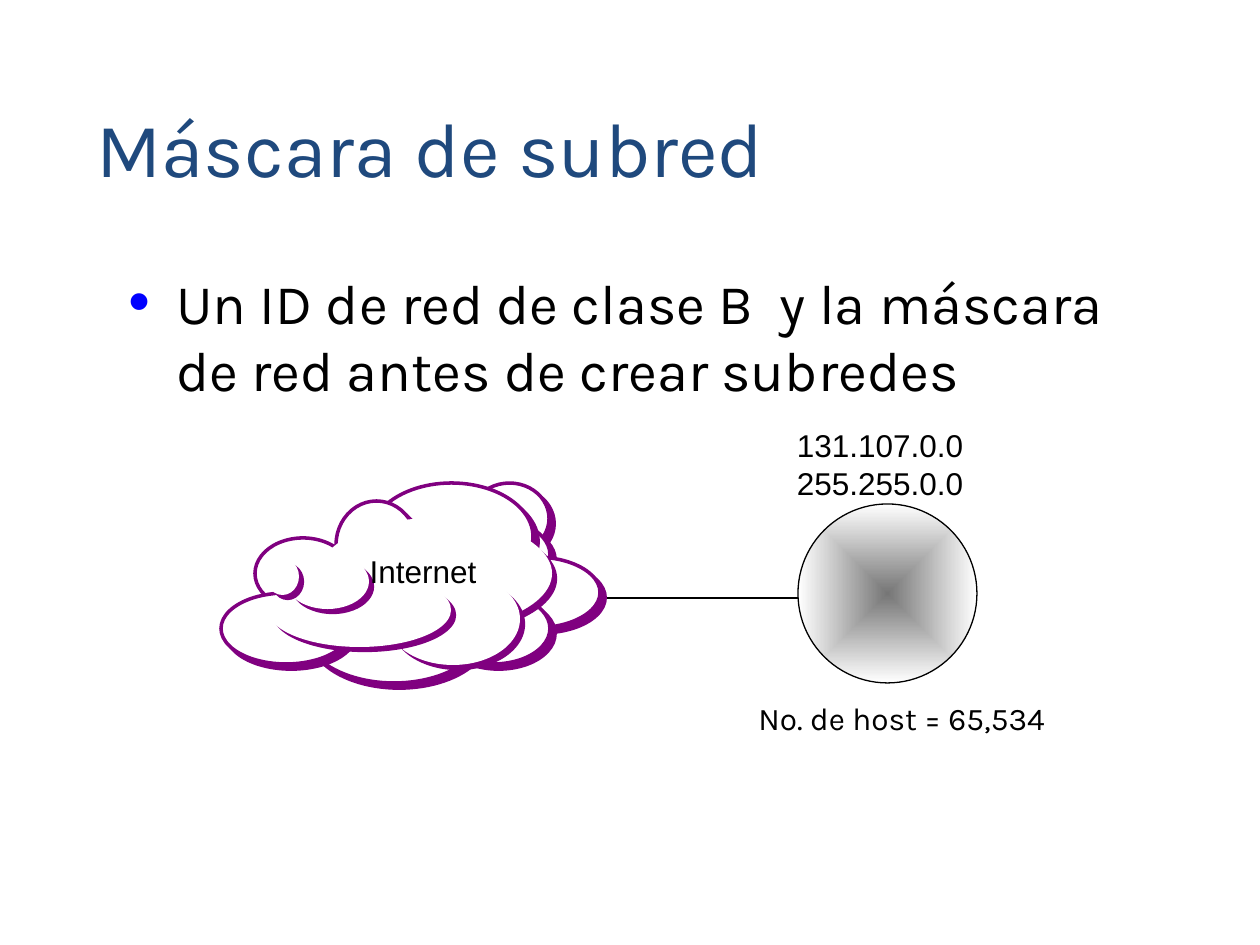
from lxml import etree
from pptx import Presentation, util as u
from pptx.dml.color import RGBColor
from pptx.enum import shapes, text
from pptx.oxml.ns import qn

PX = 914400 / 126
BLACK = RGBColor(0, 0, 0)
WHITE = RGBColor(0xFF, 0xFF, 0xFF)
NAVY = RGBColor(0x1F, 0x49, 0x7D)
BLUE = RGBColor(0, 0, 0xFF)
PURPLE = RGBColor(0x80, 0, 0x80)
GRAY = RGBColor(0x76, 0x76, 0x76)

TITLE = "Máscara de subred"
BODY = "Un ID de red de clase B  y la máscara de red antes de crear subredes"
NET = ["131.107.0.0", "255.255.0.0"]
CLOUD = "Internet"
HOSTS = "No. de host = 65,534"

# Cloud ellipses, back to front: left, top, width, height in px
PUFFS = [
    (470, 483, 79, 71), (437, 519, 113, 71), (470, 557, 130, 71),
    (421, 576, 97, 52), (370, 483, 163, 107), (336, 501, 81, 88),
    (387, 557, 81, 71), (437, 593, 113, 71), (304, 576, 180, 107),
    (255, 538, 96, 71), (221, 593, 130, 71),
]
FILLS = [
    (319, 518, 233, 111), (386, 573, 134, 92), (268, 573, 183, 74),
    (286, 554, 83, 55), (266, 558, 33, 37),
]


def px(*vals):
    return [u.Emu(round(v * PX)) for v in vals]


def put(slide, box, lines, size=18, font="Arial", color=BLACK, align=None,
        anchor=text.MSO_ANCHOR.TOP, wrap=True, bullet=None, grow=False):
    frame = slide.shapes.add_textbox(*px(*box)).text_frame
    frame.word_wrap = wrap
    frame.vertical_anchor = anchor
    if grow:
        frame.auto_size = text.MSO_AUTO_SIZE.SHAPE_TO_FIT_TEXT
    for i, line in enumerate(lines):
        para = frame.add_paragraph() if i else frame.paragraphs[0]
        para.alignment = align
        if bullet:
            mark(para, bullet)
        run = para.add_run()
        run.text = line
        run.font.size = u.Pt(size)
        run.font.name = font
        run.font.color.rgb = color


def mark(para, color):
    """Give a paragraph a hanging round bullet of the given colour."""
    props = para._p.get_or_add_pPr()
    indent = px(48)[0]
    props.set("marL", str(indent))
    props.set("indent", str(-indent))
    tint = etree.SubElement(props, qn("a:buClr"))
    etree.SubElement(tint, qn("a:srgbClr"), val=str(color))
    etree.SubElement(props, qn("a:buSzPct"), val="110000")
    etree.SubElement(props, qn("a:buFont"), typeface="Arial")
    etree.SubElement(props, qn("a:buChar"), char="•")


def oval(home, box, line=None, width=0.75):
    shape = home.shapes.add_shape(shapes.MSO_SHAPE.OVAL, *px(*box))
    shape.shadow.inherit = False
    shape.fill.solid()
    shape.fill.fore_color.rgb = WHITE
    if line is None:
        shape.line.fill.background()
    else:
        shape.line.color.rgb = line
        shape.line.width = u.Pt(width)
    return shape


def cast(shape, color):
    """Add a hard shadow down and to the right."""
    effects = shape._element.spPr.find(qn("a:effectLst"))
    drop = etree.SubElement(effects, qn("a:outerShdw"), blurRad="0",
                            dist=str(u.Pt(4.2)), dir="2700000",
                            algn="ctr", rotWithShape="0")
    etree.SubElement(drop, qn("a:srgbClr"), val=str(color))


def shade(shape, inner, outer):
    """Fill with a gradient that runs from the centre to the edge."""
    shape.fill.gradient()
    grad = shape._element.spPr.find(qn("a:gradFill"))
    for child in list(grad):
        grad.remove(child)
    stops = etree.SubElement(grad, qn("a:gsLst"))
    for pos, color in ((0, inner), (100000, outer)):
        stop = etree.SubElement(stops, qn("a:gs"), pos=str(pos))
        etree.SubElement(stop, qn("a:srgbClr"), val=str(color))
    route = etree.SubElement(grad, qn("a:path"))
    route.set("path", "shape")
    etree.SubElement(route, qn("a:fillToRect"),
                     **{side: "50000" for side in "ltrb"})


def main():
    deck = Presentation()
    deck.slide_width, deck.slide_height = px(1260, 945)
    slide = deck.slides.add_slide(deck.slide_layouts[6])

    put(slide, (84, 41, 1071, 158), [TITLE], size=44, font="Karla",
        color=NAVY, anchor=text.MSO_ANCHOR.BOTTOM)
    put(slide, (116, 262, 1071, 567), [BODY], size=32, font="Karla",
        bullet=BLUE)

    wire = slide.shapes.add_connector(shapes.MSO_CONNECTOR.STRAIGHT,
                                      *px(588, 598, 798, 598))
    wire.line.color.rgb = BLACK
    wire.line.width = u.Pt(0.75)
    etree.SubElement(wire._element.spPr, qn("a:effectLst"))

    cloud = slide.shapes.add_group_shape()
    for box in PUFFS:
        cast(oval(cloud, box, PURPLE, 2), PURPLE)
    for box in FILLS:
        cast(oval(cloud, box), PURPLE)

    shade(oval(slide, (798, 504, 179, 179), BLACK), GRAY, WHITE)

    mid = text.PP_ALIGN.CENTER
    put(slide, (780, 420, 200, 88), NET, align=mid, wrap=False, grow=True)
    put(slide, (355, 546, 136, 50), [CLOUD], align=mid, wrap=False, grow=True)
    put(slide, (746, 693, 336, 50), [HOSTS], font="Karla", grow=True)
    deck.save("out.pptx")


if __name__ == "__main__":
    main()
